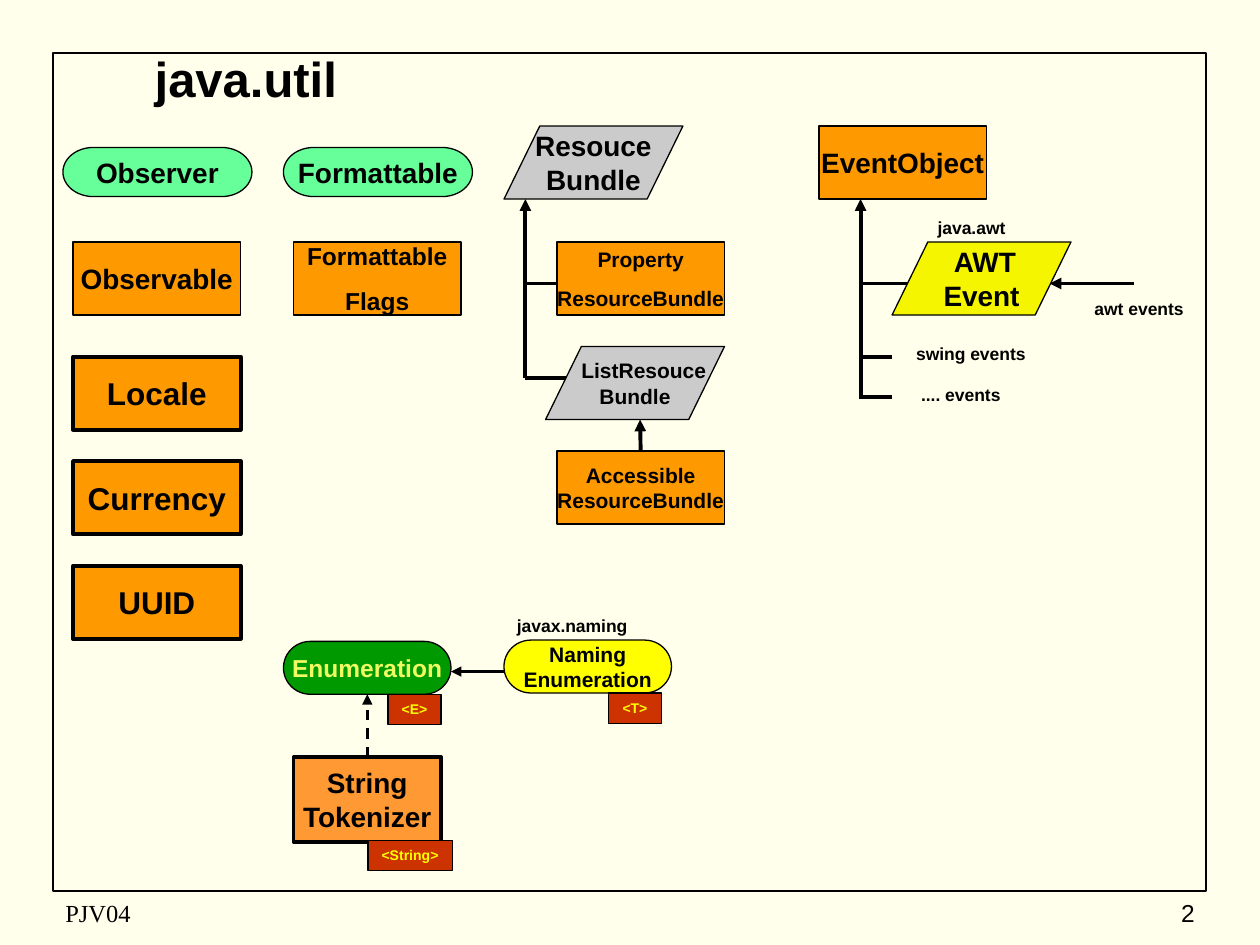
from lxml import etree
from pptx import Presentation
from pptx.dml.color import RGBColor
from pptx.enum.dml import MSO_LINE
from pptx.enum.shapes import MSO_CONNECTOR, MSO_SHAPE as Kind
from pptx.enum.text import MSO_ANCHOR as Anchor, PP_ALIGN as Align
from pptx.oxml.ns import qn
from pptx.util import Inches, Pt

COLORS = {
    "paper": "FFFFEB", "black": "000000", "orange": "FF9900",
    "peach": "FF9933", "mint": "66FF99", "green": "009900",
    "lime": "F1FC62", "gray": "CBCBCB", "gold": "F5F500",
    "yellow": "FFFF00", "red": "CC3300",
}
BOX_W, BOX_H = 1.33, 0.58
DATA_W = 1.42
COL_X = 0.58
ROW_Y, ROW_STEP = 2.83, 0.83


def color(name):
    return RGBColor.from_string(COLORS[name])


def write(sp, text, size, ink="black", align=Align.CENTER, anchor=Anchor.MIDDLE,
          wrap=False, font="Arial", bold=True, gap=0):
    tf = sp.text_frame
    tf.word_wrap = wrap
    tf.vertical_anchor = anchor
    for i, line in enumerate(text.split("\n")):
        p = tf.paragraphs[0] if i == 0 else tf.add_paragraph()
        p.alignment = align
        if i and gap:
            p.space_before = Pt(gap)
        r = p.add_run()
        r.text = line
        for key, value in {"name": font, "size": Pt(size), "bold": bold}.items():
            setattr(r.font, key, value)
        r.font.color.rgb = color(ink)


def add_box(slide, kind, at, fill, width=0.75):
    sp = slide.shapes.add_shape(kind, *map(Inches, at))
    sp.shadow.inherit = False
    if fill:
        sp.fill.solid()
        sp.fill.fore_color.rgb = color(fill)
    else:
        sp.fill.background()
    sp.line.color.rgb = color("black")
    sp.line.width = Pt(width)
    return sp


def add_node(slide, kind, at, fill, text, size, width=0.75, **style):
    sp = add_box(slide, kind, at, fill, width)
    write(sp, text, size, **style)
    return sp


def add_label(slide, at, text, size=10, anchor=Anchor.TOP, **style):
    sp = slide.shapes.add_textbox(*map(Inches, at))
    write(sp, text, size, anchor=anchor, wrap=True, **style)


def add_tag(slide, at, text):
    add_node(slide, Kind.RECTANGLE, at, "red", text, 8,
             ink="yellow", anchor=Anchor.TOP, wrap=True)


def add_line(slide, start, end, arrow=False, width=2.25, dashed=False):
    cx = slide.shapes.add_connector(
        MSO_CONNECTOR.STRAIGHT, *map(Inches, (*start, *end)))
    cx.line.color.rgb = color("black")
    cx.line.width = Pt(width)
    if dashed:
        cx.line.dash_style = MSO_LINE.DASH
    if arrow:
        ln = cx.line._get_or_add_ln()
        etree.SubElement(ln, qn("a:tailEnd"), type="triangle")
    etree.SubElement(cx._element.spPr, qn("a:effectLst"))
    return cx


def add_page(slide):
    add_box(slide, Kind.RECTANGLE, (0.42, 0.42, 9.15, 6.65), None, 1)
    plain = {"anchor": Anchor.MIDDLE, "bold": False}
    add_label(slide, (0.42, 7.08, 3.17, 0.33), "PJV04", 14,
              align=Align.LEFT, font="Times New Roman", **plain)
    add_label(slide, (7.5, 7.08, 2.08, 0.33), "2", 14, align=Align.RIGHT, **plain)
    add_label(slide, (0.42, 0.33, 3.17, 0.58), "java.util ", 28,
              anchor=Anchor.MIDDLE)


def add_trees(slide):
    for trunk, bottom, branches in (
        (4.17, 3, ((2.25, 4.42), (3, 4.5))),
        (6.83, 3.17, ((2.25, 7.25), (2.83, 7.08), (3.15, 7.08))),
    ):
        add_line(slide, (trunk, bottom), (trunk, 1.58), arrow=True)
        for y, right in branches:
            add_line(slide, (trunk, y), (right, y))
    add_line(slide, (9, 2.25), (8.33, 2.25), arrow=True)
    add_line(slide, (4, 5.33), (3.58, 5.33), arrow=True, width=1.5)


def add_classes(slide):
    for i, text in enumerate(("Locale", "Currency", "UUID")):
        at = (COL_X, ROW_Y + i * ROW_STEP, BOX_W, BOX_H)
        add_node(slide, Kind.RECTANGLE, at, "orange", text, 18, 2.25)
    for x, y, text, size, gap in (
        (COL_X, 1.92, "Observable", 16, 0),
        (2.33, 1.92, "Formattable\nFlags", 14, 8.8),
        (4.42, 1.92, "Property\nResourceBundle", 12, 7.5),
        (6.5, 1, "EventObject", 16, 0),
    ):
        add_node(slide, Kind.RECTANGLE, (x, y, BOX_W, BOX_H), "orange",
                 text, size, gap=gap)
    accessible = add_node(slide, Kind.RECTANGLE, (4.42, 3.58, BOX_W, BOX_H),
                          "orange", "Accessible\nResourceBundle", 12)
    add_line(slide, (5.08, 3.58), (5.08, 3.33), arrow=True).begin_connect(accessible, 0)


def add_abstract_classes(slide):
    for x, y, fill, text, size in (
        (4, 1, "gray", "Resouce\nBundle", 16),
        (7.08, 1.92, "gold", " AWT\nEvent", 16),
    ):
        add_node(slide, Kind.FLOWCHART_DATA, (x, y, DATA_W, BOX_H), fill, text, size)
    bundle = add_node(slide, Kind.FLOWCHART_DATA, (4.33, 2.75, DATA_W, BOX_H),
                      "gray", "ListResouce\nBundle", 12)
    p = bundle.text_frame.paragraphs[0]
    p._p.get_or_add_pPr().set("marL", str(Inches(0.14)))


def add_interfaces(slide):
    for x, text in ((0.5, "Observer"), (2.25, "Formattable")):
        add_node(slide, Kind.FLOWCHART_TERMINATOR, (x, 1.17, 1.5, 0.39),
                 "mint", text, 16)
    enumeration = add_node(slide, Kind.FLOWCHART_TERMINATOR, (2.25, 5.09, BOX_W, 0.42),
                           "green", "Enumeration", 14, ink="lime")
    add_node(slide, Kind.FLOWCHART_TERMINATOR, (4, 5.08, BOX_W, 0.42),
             "yellow", "Naming\nEnumeration", 12)
    tokenizer = add_node(slide, Kind.FLOWCHART_PROCESS, (2.33, 6.01, 1.17, 0.67),
                         "peach", "String\nTokenizer", 16, 2.25)
    for at, text in (
        ((4.83, 5.5, 0.42, 0.24), "<T>"),
        ((3.08, 5.51, 0.42, 0.24), "<E>"),
        ((2.92, 6.67, 0.67, 0.24), "<String>"),
    ):
        add_tag(slide, at, text)
    cx = add_line(slide, (2.92, 6), (2.92, 5.5), arrow=True, width=1.5, dashed=True)
    cx.begin_connect(tokenizer, 0)
    cx.end_connect(enumeration, 2)


def add_labels(slide):
    for x, y, w, text in (
        (4, 4.83, 1.08, "javax.naming"),
        (7.17, 1.67, 1.08, "java.awt"),
        (8.5, 2.32, 1.08, "awt events"),
        (7.08, 2.67, 1.25, "swing events"),
        (7, 3, 1.25, ".... events"),
    ):
        add_label(slide, (x, y, w, 0.27), text)


def main():
    prs = Presentation()
    prs.slide_width, prs.slide_height = Inches(10), Inches(7.5)
    slide = prs.slides.add_slide(prs.slide_layouts[6])
    slide.background.fill.solid()
    slide.background.fill.fore_color.rgb = color("paper")
    for add_part in (add_page, add_trees, add_classes, add_abstract_classes,
                     add_interfaces, add_labels):
        add_part(slide)
    prs.save("out.pptx")


if __name__ == "__main__":
    main()
